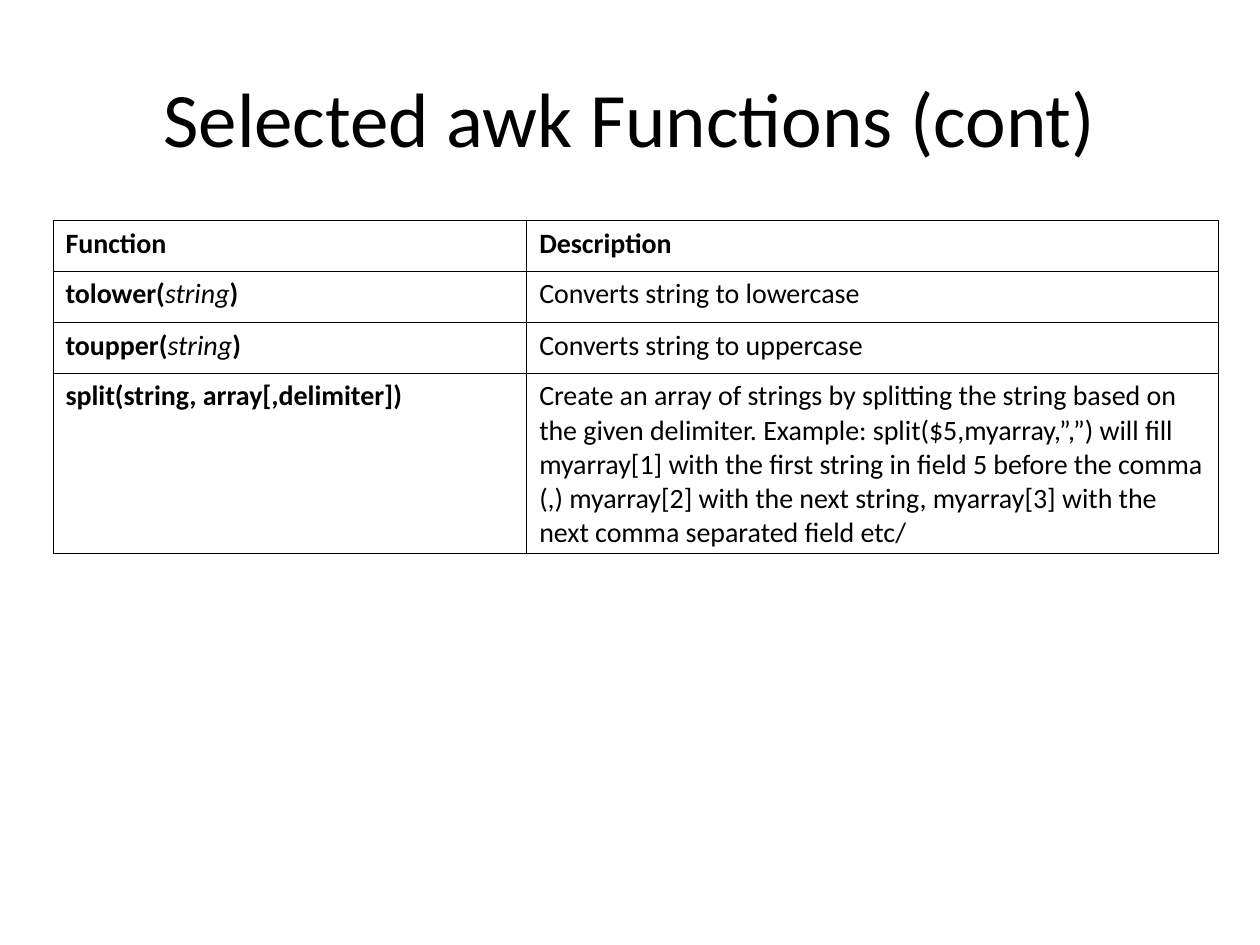
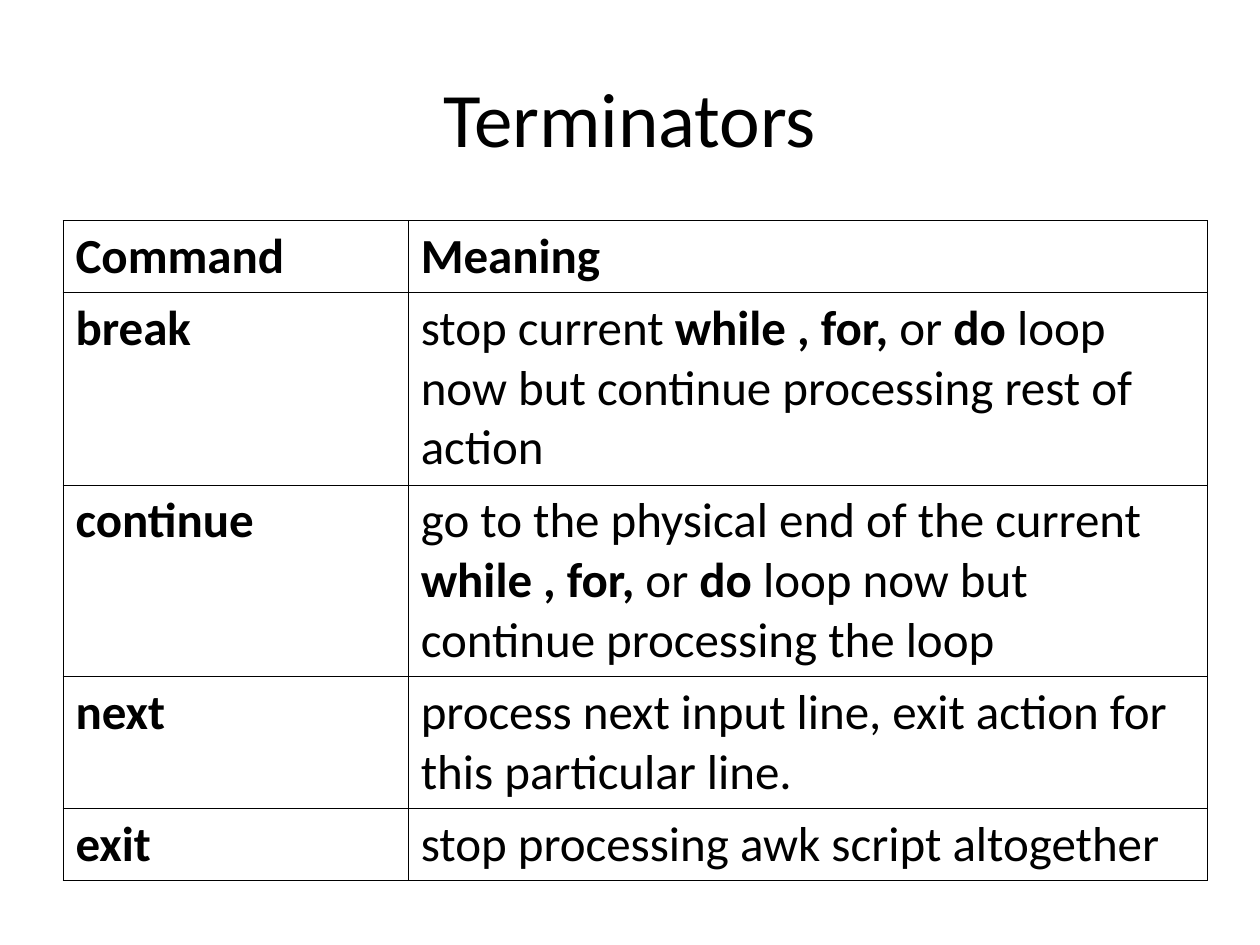
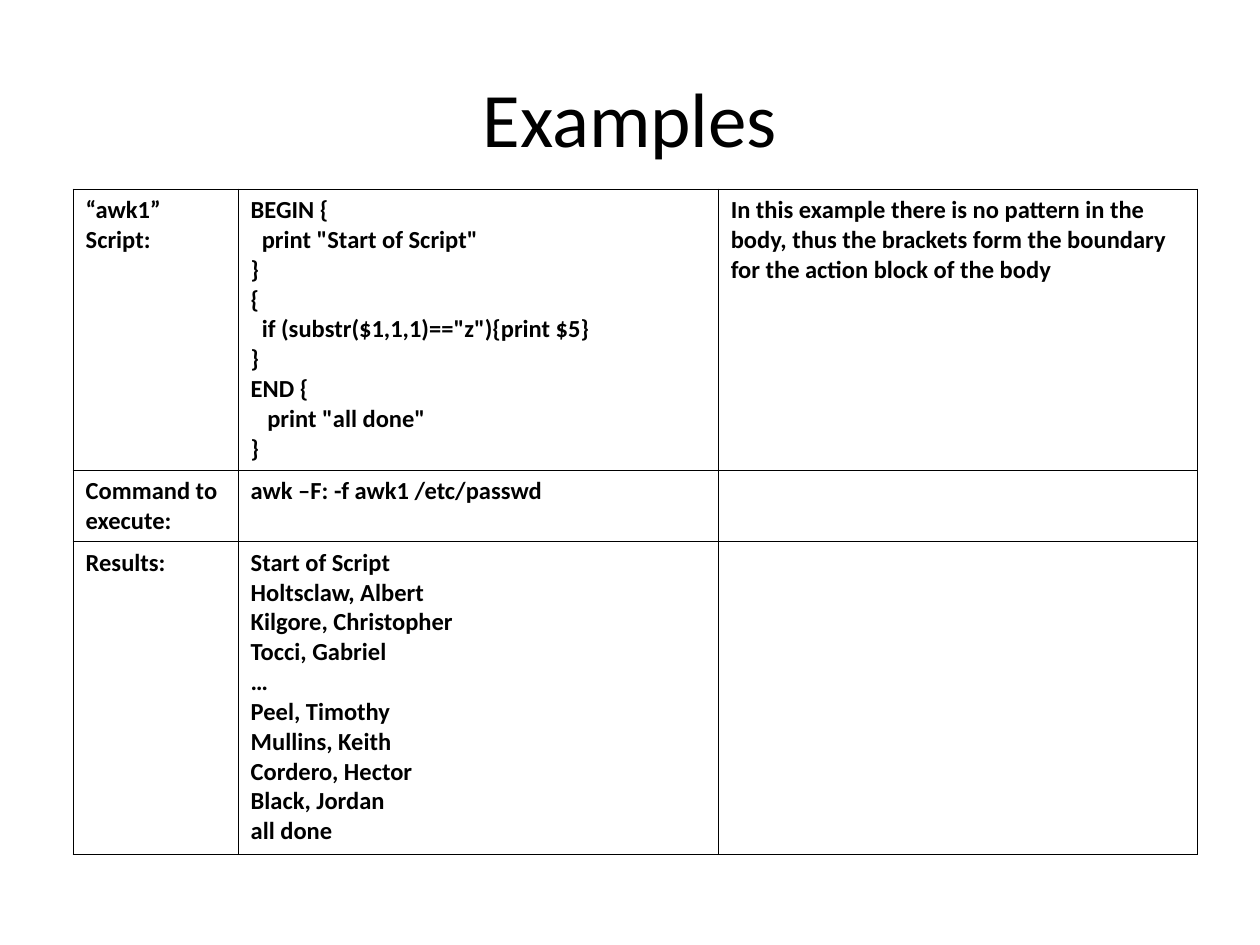
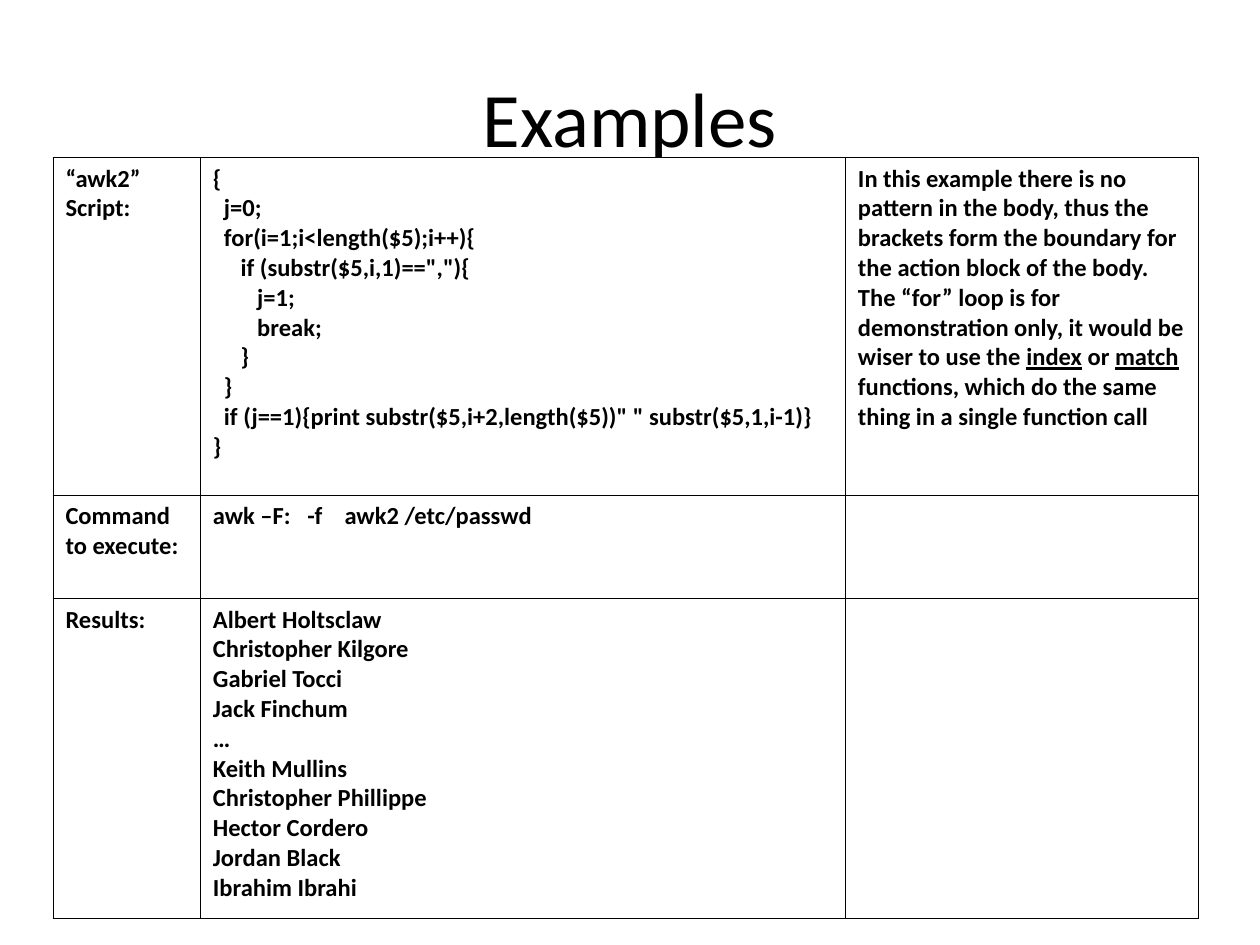
from dataclasses import dataclass
from typing import Any, NamedTuple

from lxml import etree
from pptx import Presentation
from pptx.dml.color import RGBColor
from pptx.enum.text import MSO_ANCHOR, PP_ALIGN
from pptx.oxml.ns import qn
from pptx.util import Inches, Pt

CENTER, MIDDLE, TOP = PP_ALIGN.CENTER, MSO_ANCHOR.MIDDLE, MSO_ANCHOR.TOP
BLANK = 6
EDGES = ("a:lnL", "a:lnR", "a:lnT", "a:lnB")


@dataclass(frozen=True)
class Theme:
    font: str = "Calibri"
    ink: str = "000000"
    paper: str = "FFFFFF"
    title: int = 44
    large: int = 28
    body: int = 16
    code: int = 14
    rule: float = 0.45


THEME = Theme()

# Run formats
PLAIN = {"bold": False}
BOLD = {"bold": True}
SLANT = {"bold": False, "italic": True}
UNDER = {"bold": True, "underline": True}


class Run(NamedTuple):
    text: str
    look: dict[str, Any]


Cell = tuple[Run, ...]


@dataclass(frozen=True)
class Grid:
    title: str
    left: float
    top: float
    cols: tuple[float, ...]
    rows: tuple[float, ...]
    size: int
    cells: tuple[tuple[Cell, ...], ...]
    filled: bool = True


def plain(text: str) -> Cell:
    return (Run(text, PLAIN),)


def bold(text: str) -> Cell:
    return (Run(text, BOLD),)


def call(name: str) -> Cell:
    return Run(f"{name}(", BOLD), Run("string", SLANT), Run(")", BOLD)


def loops(start: str, end: str) -> Cell:
    return (Run(start, PLAIN), Run("while , for, ", BOLD), Run("or", PLAIN),
            Run(" do ", BOLD), Run(end, PLAIN))


def sample(name: str, script: str, note: Cell, order: str, names: str) -> tuple:
    """Rows of a script, its command line and its output."""
    return (
        (bold(f"“{name}” Script:"), bold(script), note),
        (bold("Command to execute:"), bold(order), ()),
        (bold("Results:"), bold(names), ()),
    )


# Content
FIRST = """BEGIN {
  print "Start of Script"
}
{
  if (substr($1,1,1)=="z"){print $5}
}
END {
   print "all done"
}"""

SECOND = """{
  j=0;
  for(i=1;i<length($5);i++){
     if (substr($5,i,1)==","){
        j=1;
        break;
     }
  }
  if (j==1){print substr($5,i+2,length($5))" " substr($5,1,i-1)}
}"""

FOUND = """Start of Script
Holtsclaw, Albert
Kilgore, Christopher
Tocci, Gabriel
…
Peel, Timothy
Mullins, Keith
Cordero, Hector
Black, Jordan
all done"""

SWAPPED = """Albert Holtsclaw
Christopher Kilgore
Gabriel Tocci
Jack Finchum
…
Keith Mullins
Christopher Phillippe
Hector Cordero
Jordan Black
Ibrahim Ibrahi"""

NOTE = ("In this example there is no pattern in the body, thus the brackets "
        "form the boundary for the action block of the body")

ADVICE = (
    Run(f"{NOTE}. The “for” loop is for demonstration only, "
        "it would be wiser to use the ", BOLD),
    Run("index", UNDER),
    Run(" or ", BOLD),
    Run("match", UNDER),
    Run(" functions, which do the same thing in a single function call", BOLD),
)

GRIDS = (
    Grid("Selected awk Functions (cont)", 0.42, 1.75, (3.76, 5.49),
         (0.4, 0.41, 0.4, 1.43), THEME.body, (
             (bold("Function"), bold("Description")),
             (call("tolower"), plain("Converts string to lowercase")),
             (call("toupper"), plain("Converts string to uppercase")),
             (bold("split(string, array[,delimiter])"),
              plain("Create an array of strings by splitting the string based "
                    "on the given delimiter. Example: split($5,myarray,”,”) "
                    "will fill myarray[1] with the first string in field 5 "
                    "before the comma (,) myarray[2] with the next string, "
                    "myarray[3] with the next comma separated field etc/")),
         ), filled=False),
    Grid("Terminators", 0.5, 1.75, (2.74, 6.34),
         (0.57, 1.53, 1.52, 1.05, 0.57), THEME.large, (
             (bold("Command"), bold("Meaning")),
             (bold("break"),
              loops("stop current ",
                    "loop now but continue processing rest of action")),
             (bold("continue"),
              loops("go to the physical end of the current ",
                    "loop now but continue processing the loop")),
             (bold("next"),
              plain("process next input line, exit action for this "
                    "particular line.")),
             (bold("exit"), plain("stop processing awk script altogether")),
         )),
    Grid("Examples", 0.58, 1.5, (1.31, 3.81, 3.8), (2.23, 0.57, 2.48),
         THEME.code,
         sample("awk1", FIRST, bold(NOTE), "awk –F: -f awk1 /etc/passwd", FOUND)),
    Grid("Examples", 0.42, 1.25, (1.17, 5.12, 2.8), (2.68, 0.82, 2.54),
         THEME.code,
         sample("awk2", SECOND, ADVICE, "awk –F:   -f    awk2 /etc/passwd",
                SWAPPED)),
)


# Drawing
def write(frame, runs: Cell, size: int) -> None:
    """Put runs in a frame; each line break starts a paragraph."""
    para = frame.paragraphs[0]
    for item in runs:
        for i, line in enumerate(item.text.split("\n")):
            if i:
                para = frame.add_paragraph()
            run = para.add_run()
            run.text = line
            look = {"name": THEME.font, "size": Pt(size), **item.look}
            for key, value in look.items():
                setattr(run.font, key, value)
            run.font.color.rgb = RGBColor.from_string(THEME.ink)


def add_title(slide, text: str) -> None:
    box = slide.shapes.add_textbox(Inches(0.5), Inches(0.3), Inches(9), Inches(1.25))
    frame = box.text_frame
    frame.word_wrap = True
    frame.vertical_anchor = MIDDLE
    write(frame, plain(text), THEME.title)
    frame.paragraphs[0].alignment = CENTER


def add_rules(cell) -> None:
    props = cell._tc.get_or_add_tcPr()
    for edge in EDGES:
        line = etree.SubElement(props, qn(edge), w=str(Pt(THEME.rule)))
        fill = etree.SubElement(line, qn("a:solidFill"))
        etree.SubElement(fill, qn("a:srgbClr"), val=THEME.ink)


def add_grid(slide, grid: Grid) -> None:
    table = slide.shapes.add_table(
        len(grid.rows), len(grid.cols), Inches(grid.left), Inches(grid.top),
        Inches(sum(grid.cols)), Inches(sum(grid.rows))).table
    table.first_row = table.horz_banding = False
    for col, width in zip(table.columns, grid.cols):
        col.width = Inches(width)
    for row, height, items in zip(table.rows, grid.rows, grid.cells):
        row.height = Inches(height)
        for cell, runs in zip(row.cells, items):
            add_rules(cell)
            if grid.filled:
                cell.fill.solid()
                cell.fill.fore_color.rgb = RGBColor.from_string(THEME.paper)
            else:
                cell.fill.background()
            cell.vertical_anchor = TOP
            write(cell.text_frame, runs, grid.size)


def main() -> None:
    deck = Presentation()
    deck.slide_width, deck.slide_height = Inches(10), Inches(7.5)
    for grid in GRIDS:
        slide = deck.slides.add_slide(deck.slide_layouts[BLANK])
        add_title(slide, grid.title)
        add_grid(slide, grid)
    deck.save("out.pptx")


if __name__ == "__main__":
    main()
